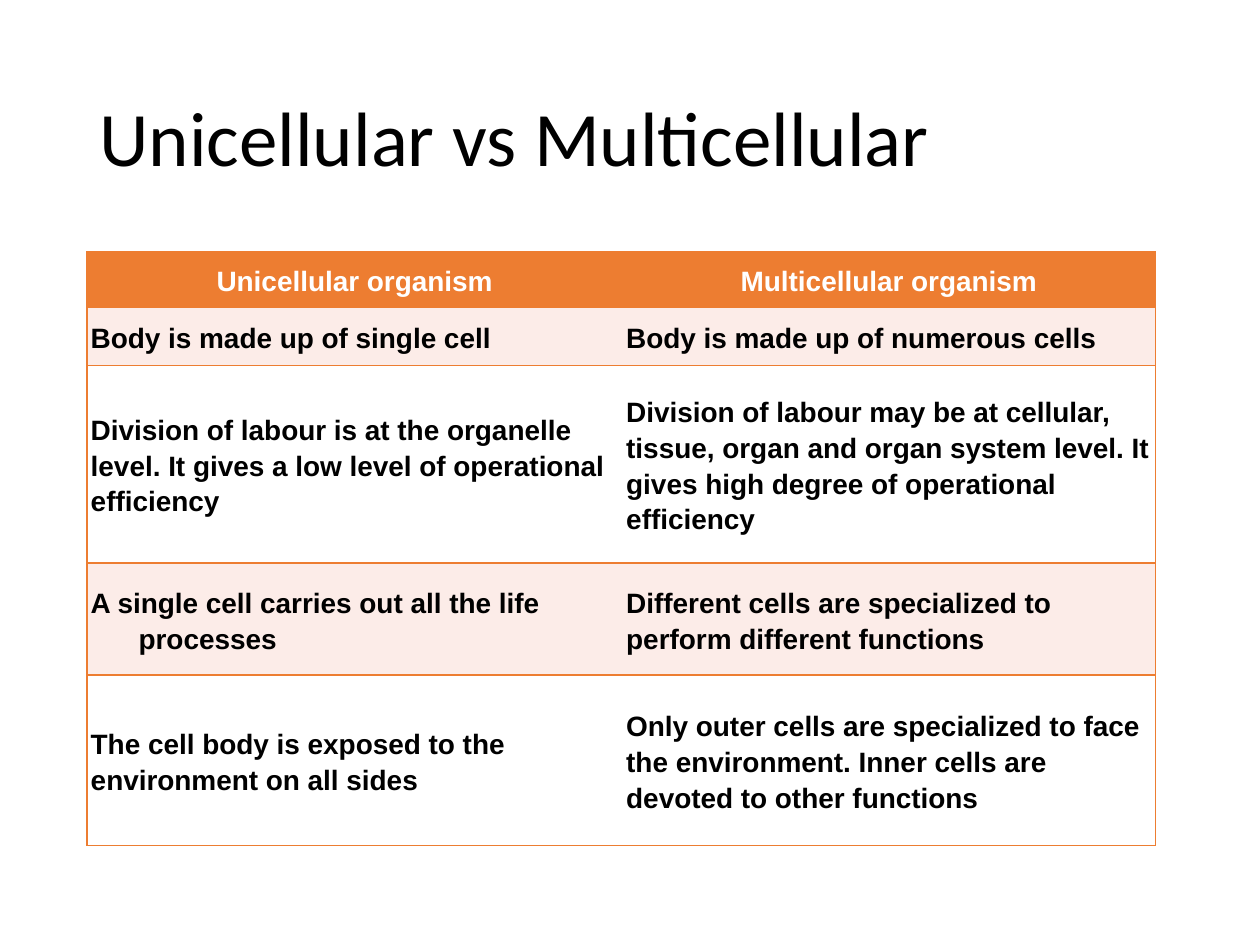
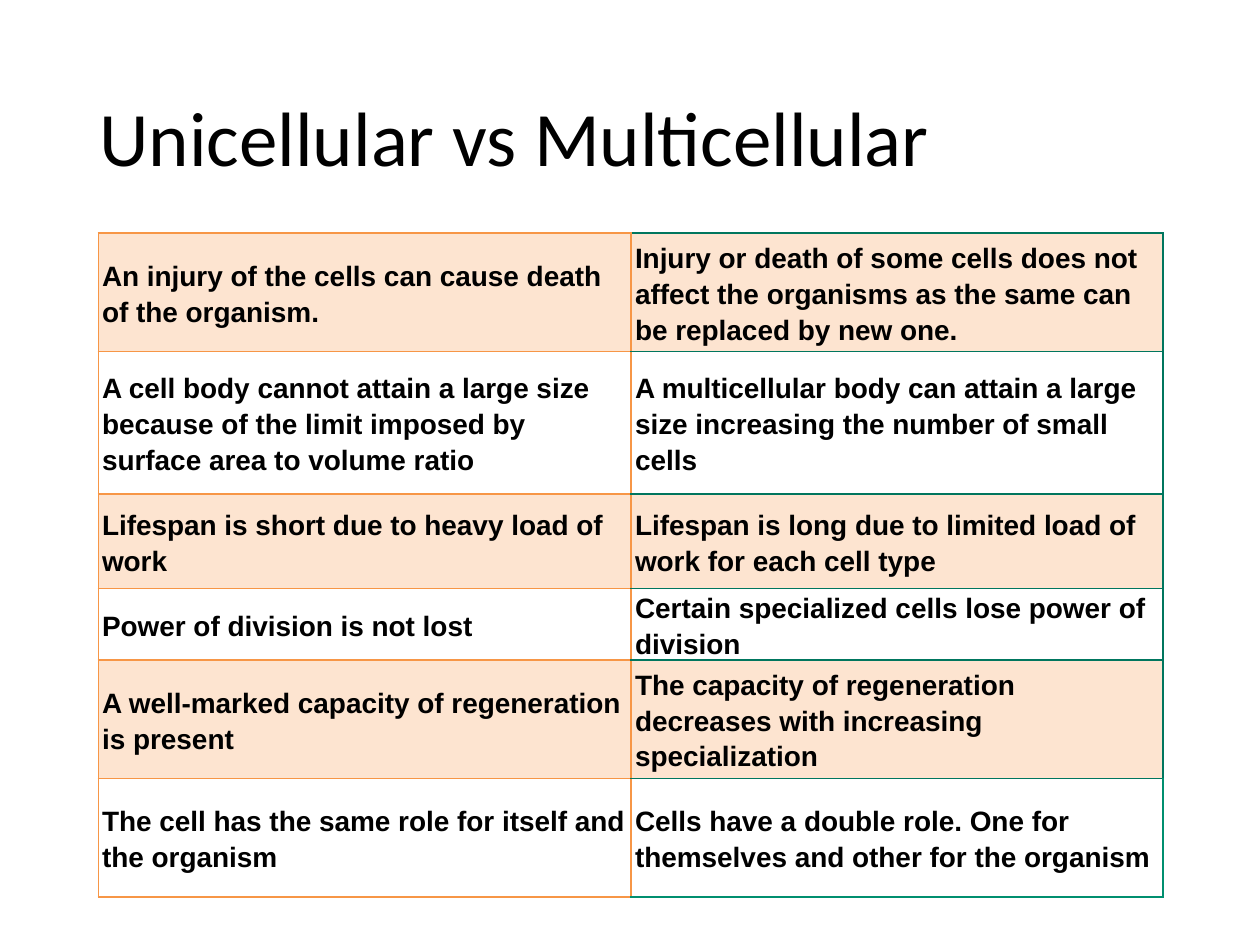
"""Build two slides comparing unicellular and multicellular organisms."""
from dataclasses import dataclass
from typing import Any, NamedTuple

from lxml import etree
from pptx import Presentation
from pptx import util as u
from pptx.dml import color
from pptx.enum import text
from pptx.oxml import ns


@dataclass(frozen=True)
class Theme:
    black: str = "000000"
    white: str = "FFFFFF"
    orange: str = "ED7D31"
    blush: str = "FCECE8"
    amber: str = "F79646"
    peach: str = "FDE4D0"
    green: str = "00765E"
    light_green: str = "008F6F"
    title_font: str = "Calibri"
    body_font: str = "Arial"
    title_size: int = 44
    body_size: int = 16
    rule_width: float = 1


THEME = Theme()
HEADING = "Unicellular vs Multicellular"
HANGING = u.Inches(0.38)
SIDES = "LRTB"
CELL_FORMAT = {
    "vertical_anchor": text.MSO_ANCHOR.MIDDLE,
    "margin_left": u.Inches(0.03),
    "margin_right": u.Inches(0.03),
    "margin_top": 0,
    "margin_bottom": 0,
}


class Contrast(NamedTuple):
    height: float
    unicellular: str
    multicellular: str
    hanging: bool = False
    header: bool = False


@dataclass(frozen=True)
class Comparison:
    left: float
    top: float
    widths: tuple[float, float]
    contrasts: tuple[Contrast, ...]
    band: str
    edges: tuple[dict[str, str], dict[str, str]]
    last_edges: dict[str, str]


FEATURES = Comparison(
    0.69, 2, (4.25, 4.23),
    (
        Contrast(0.44, "Unicellular organism", "Multicellular organism", header=True),
        Contrast(0.46, "Body is made up of single cell",
                 "Body is made up of numerous cells", hanging=True),
        Contrast(1.57, "Division of labour is at the organelle level. "
                 "It gives a low level of operational efficiency",
                 "Division of labour may be at cellular, tissue, organ and organ system level. "
                 "It gives high degree of operational efficiency"),
        Contrast(0.89, "A single cell carries out all the life processes",
                 "Different cells are specialized to perform different functions", hanging=True),
        Contrast(1.35, "The cell body is exposed to the environment on all sides",
                 "Only outer cells are specialized to face the environment. "
                 "Inner cells are devoted to other functions"),
    ),
    THEME.blush,
    (dict.fromkeys("LTB", THEME.orange), dict.fromkeys("RTB", THEME.orange)),
    {},
)

SURVIVAL = Comparison(
    0.78, 1.85, (4.23, 4.22),
    (
        Contrast(0.94, "An injury of the cells can cause death of the organism.",
                 "Injury or death of some cells does not affect the organisms "
                 "as the same can be replaced by new one."),
        Contrast(1.13, "A cell body cannot attain a large size because of the limit "
                 "imposed by surface area to volume ratio",
                 "A multicellular body can attain a large size "
                 "increasing the number of small cells"),
        Contrast(0.75, "Lifespan is short due to heavy load of work",
                 "Lifespan is long due to limited load of work for each cell type"),
        Contrast(0.56, "Power of division is not lost",
                 "Certain specialized cells lose power of division", hanging=True),
        Contrast(0.94, "A well-marked capacity of regeneration is present",
                 "The capacity of regeneration decreases with increasing specialization"),
        Contrast(0.94, "The cell has the same role for itself and the organism",
                 "Cells have a double role. One for themselves and other for the organism"),
    ),
    THEME.peach,
    (dict.fromkeys(SIDES, THEME.amber),
     {"L": THEME.amber, **dict.fromkeys("RTB", THEME.green)}),
    dict.fromkeys("RB", THEME.light_green),
)


def apply(target: Any, values: dict[str, Any]) -> None:
    """Set each named attribute on the target."""
    for name, value in values.items():
        setattr(target, name, value)


def write(paragraph: Any, words: str, spacing: float, align: Any,
          ink: str, **font: Any) -> None:
    """Put formatted words into a paragraph."""
    apply(paragraph, {"line_spacing": spacing, "alignment": align})
    run = paragraph.add_run()
    run.text = words
    apply(run.font, font)
    run.font.color.rgb = color.RGBColor.from_string(ink)


def rule_cell(cell: Any, edges: dict[str, str]) -> None:
    """Draw the given cell edges and clear the others."""
    properties = cell._tc.get_or_add_tcPr()
    for side in SIDES:
        line = etree.SubElement(properties, ns.qn(f"a:ln{side}"))
        if side in edges:
            line.set("w", str(u.Pt(THEME.rule_width)))
            ink = etree.SubElement(line, ns.qn("a:solidFill"))
            etree.SubElement(ink, ns.qn("a:srgbClr")).set("val", edges[side])
        else:
            etree.SubElement(line, ns.qn("a:noFill"))


def fill_cell(cell: Any, words: str, contrast: Contrast, fill: str,
              edges: dict[str, str], hanging: bool) -> None:
    """Write, rule and fill one table cell."""
    apply(cell, CELL_FORMAT)
    rule_cell(cell, edges)
    cell.fill.solid()
    cell.fill.fore_color.rgb = color.RGBColor.from_string(fill)
    paragraph = cell.text_frame.paragraphs[0]
    write(paragraph, words, 1.15,
          text.PP_ALIGN.CENTER if contrast.header else text.PP_ALIGN.LEFT,
          THEME.white if contrast.header else THEME.black,
          name=THEME.body_font, size=u.Pt(THEME.body_size), bold=True)
    if hanging:
        layout = paragraph._p.get_or_add_pPr()
        layout.set("marL", str(HANGING))
        layout.set("indent", str(-HANGING))


def add_heading(slide: Any) -> None:
    """Place and format the slide title."""
    heading = slide.shapes.title
    apply(heading, {"left": u.Inches(0.69), "top": u.Inches(0.4),
                    "width": u.Inches(8.62), "height": u.Inches(1.45)})
    apply(heading.text_frame, {"vertical_anchor": text.MSO_ANCHOR.MIDDLE,
                               "word_wrap": True,
                               "auto_size": text.MSO_AUTO_SIZE.NONE})
    write(heading.text_frame.paragraphs[0], HEADING, 0.9, text.PP_ALIGN.LEFT,
          THEME.black, name=THEME.title_font, size=u.Pt(THEME.title_size))


def add_comparison(slide: Any, comparison: Comparison) -> None:
    """Draw a two-column comparison table."""
    contrasts = comparison.contrasts
    grid = slide.shapes.add_table(
        len(contrasts), 2, u.Inches(comparison.left), u.Inches(comparison.top),
        u.Inches(sum(comparison.widths)),
        u.Inches(sum(contrast.height for contrast in contrasts))).table
    apply(grid, {"first_row": False, "horz_banding": False})
    for column, width in zip(grid.columns, comparison.widths):
        column.width = u.Inches(width)
    body_start = int(contrasts[0].header)
    for index, contrast in enumerate(contrasts):
        grid.rows[index].height = u.Inches(contrast.height)
        banded = (index - body_start) % 2 == 0
        fill = comparison.band if banded else THEME.white
        if contrast.header:
            fill = THEME.orange
        for side, words in enumerate((contrast.unicellular, contrast.multicellular)):
            edges = comparison.edges[side]
            if side == 1 and index == len(contrasts) - 1:
                edges = {**edges, **comparison.last_edges}
            fill_cell(grid.cell(index, side), words, contrast, fill, edges,
                      contrast.hanging and side == 0)


def main() -> None:
    """Create and save the presentation."""
    deck = Presentation()
    apply(deck, {"slide_width": u.Inches(10), "slide_height": u.Inches(7.5)})
    for comparison in (FEATURES, SURVIVAL):
        slide = deck.slides.add_slide(deck.slide_layouts[5])
        add_heading(slide)
        add_comparison(slide, comparison)
    deck.save("out.pptx")


if __name__ == "__main__":
    main()
